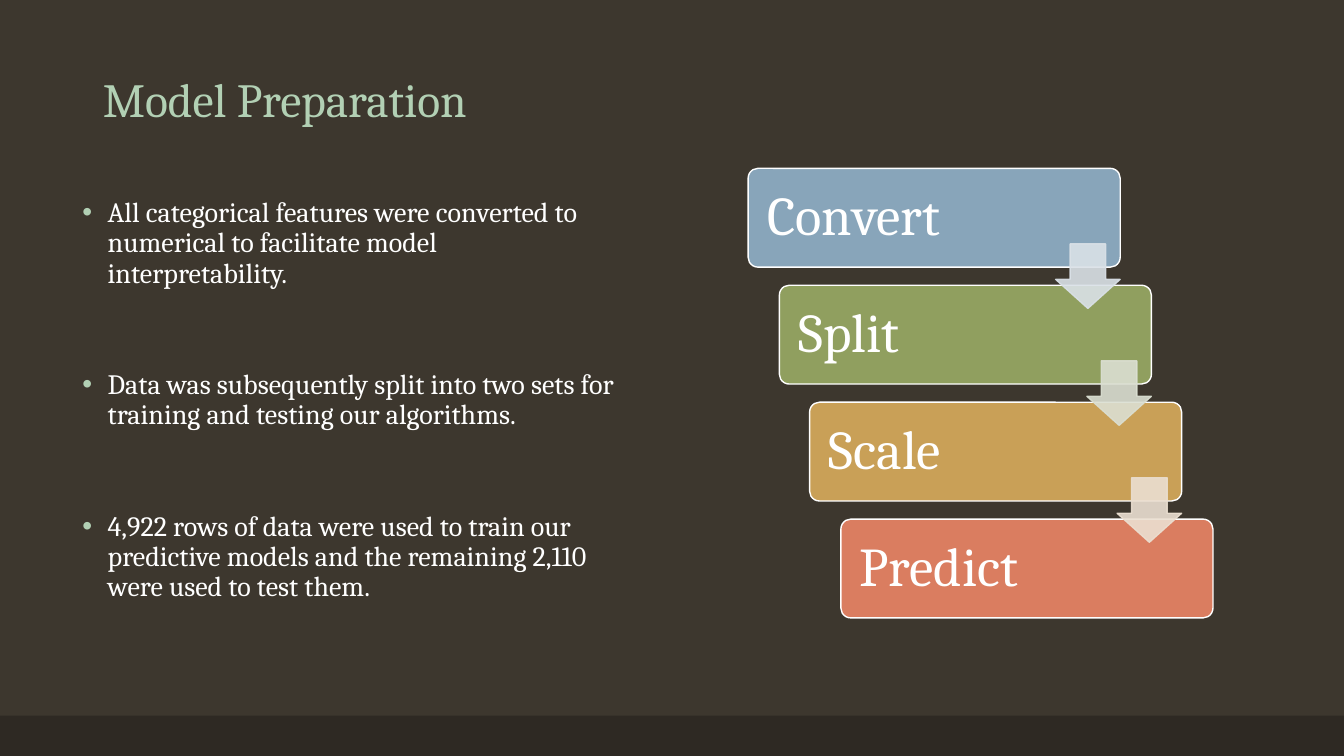
from lxml import etree
from pptx import Presentation
from pptx.dml.color import RGBColor
from pptx.enum.shapes import MSO_SHAPE
from pptx.enum.text import MSO_ANCHOR, MSO_AUTO_SIZE, PP_ALIGN
from pptx.oxml.ns import qn
from pptx.util import Emu, Pt

RECT = MSO_SHAPE.RECTANGLE
ROUND = MSO_SHAPE.ROUNDED_RECTANGLE
ARROW = MSO_SHAPE.DOWN_ARROW
LEFT = PP_ALIGN.LEFT
MIDDLE, BOTTOM = MSO_ANCHOR.MIDDLE, MSO_ANCHOR.BOTTOM
NO_FIT = MSO_AUTO_SIZE.NONE

FONT = "Cambria"
WHITE, MINT = "FFFFFF", "B2D0B4"
DARK, BAND = "3D372E", "2E2923"

# Label, card fill, colour of the arrow to the next card
STEPS = [
    ("Convert", "88A5BA", "DAE1E7"),
    ("Split", "909F5F", "DBDFD2"),
    ("Scale", "C9A057", "EBDFD1"),
    ("Predict", "DA7D60", None),
]
POINTS = [
    "All categorical features were converted to numerical to facilitate "
    "model interpretability.",
    "Data was subsequently split into two sets for training and testing "
    "our algorithms.",
    "4,922 rows of data were used to train our predictive models and the "
    "remaining 2,110 were used to test them.",
]


def px(n):
    """One hundred px to the inch."""
    return Emu(n * 9144)


def paint(color, code):
    color.rgb = RGBColor.from_string(code)


def fill(target, code):
    target.solid()
    paint(target.fore_color, code)


def style(para, size, code):
    para.alignment = LEFT
    para.line_spacing = 0.9
    for run in para.runs:
        run.font.name = FONT
        run.font.size = Pt(size)
        paint(run.font.color, code)


def add_box(slide, kind, box, code, edge=None):
    shape = slide.shapes.add_shape(kind, *map(px, box))
    shape.shadow.inherit = False
    fill(shape.fill, code)
    if edge:
        fill(shape.line.fill, edge)
        shape.line.width = Pt(1)
    else:
        shape.line.fill.background()
    return shape


def add_title(slide, text, box):
    title = slide.shapes.title
    title.left, title.top, title.width, title.height = map(px, box)
    frame = title.text_frame
    frame.text = text
    frame.auto_size = NO_FIT
    frame.vertical_anchor = BOTTOM
    style(frame.paragraphs[0], 34, MINT)


def add_bullet(para):
    props = para._p.get_or_add_pPr()
    props.set("marL", str(px(25)))
    props.set("indent", str(px(-25)))
    tint = etree.SubElement(props, qn("a:buClr"))
    etree.SubElement(tint, qn("a:srgbClr"), val=MINT)
    etree.SubElement(props, qn("a:buFont"), typeface="Arial")
    etree.SubElement(props, qn("a:buChar"), char="•")


def add_list(slide, points, box):
    frame = slide.shapes.add_textbox(*map(px, box)).text_frame
    frame.word_wrap = True
    for i, point in enumerate(points):
        para = frame.add_paragraph() if i else frame.paragraphs[0]
        para.text = point
        para.space_before = Pt(58 if i else 0)
        style(para, 20, WHITE)
        add_bullet(para)


def add_card(slide, label, x, y, code):
    card = add_box(slide, ROUND, (x, y, 369, 98), code, WHITE)
    card.adjustments[0] = 0.1
    frame = card.text_frame
    frame.margin_left = frame.margin_right = px(16)
    frame.vertical_anchor = MIDDLE
    frame.text = label
    style(frame.paragraphs[0], 39, WHITE)


def add_arrow(slide, x, y, code):
    arrow = add_box(slide, ARROW, (x, y, 64, 64), code, code)
    arrow.adjustments[0] = 0.55
    arrow.adjustments[1] = 0.45
    # Let the cards show through slightly
    for color in arrow._element.spPr.iter(qn("a:srgbClr")):
        etree.SubElement(color, qn("a:alpha"), val="90000")


def add_steps(slide, left, top):
    spots = [(left + round(i * 92 / 3), top + i * 116)
             for i in range(len(STEPS))]
    for (x, y), (label, code, _) in zip(spots, STEPS):
        add_card(slide, label, x, y, code)
    for (x, y), (_, _, tint) in zip(spots, STEPS):
        if tint:
            add_arrow(slide, x + 305, y + 75, tint)


def main():
    deck = Presentation()
    deck.slide_width, deck.slide_height = px(1333), px(750)
    slide = deck.slides.add_slide(deck.slide_layouts[5])

    # Backdrop and title
    fill(slide.background.fill, DARK)
    add_box(slide, RECT, (0, 710, 1333, 40), BAND)
    add_title(slide, "Model Preparation", (92, 50, 1150, 82))

    # Stepped process on the right, notes on the left
    add_steps(slide, 742, 167)
    add_list(slide, POINTS, (72, 192, 550, 476))

    deck.save("out.pptx")


if __name__ == "__main__":
    main()
